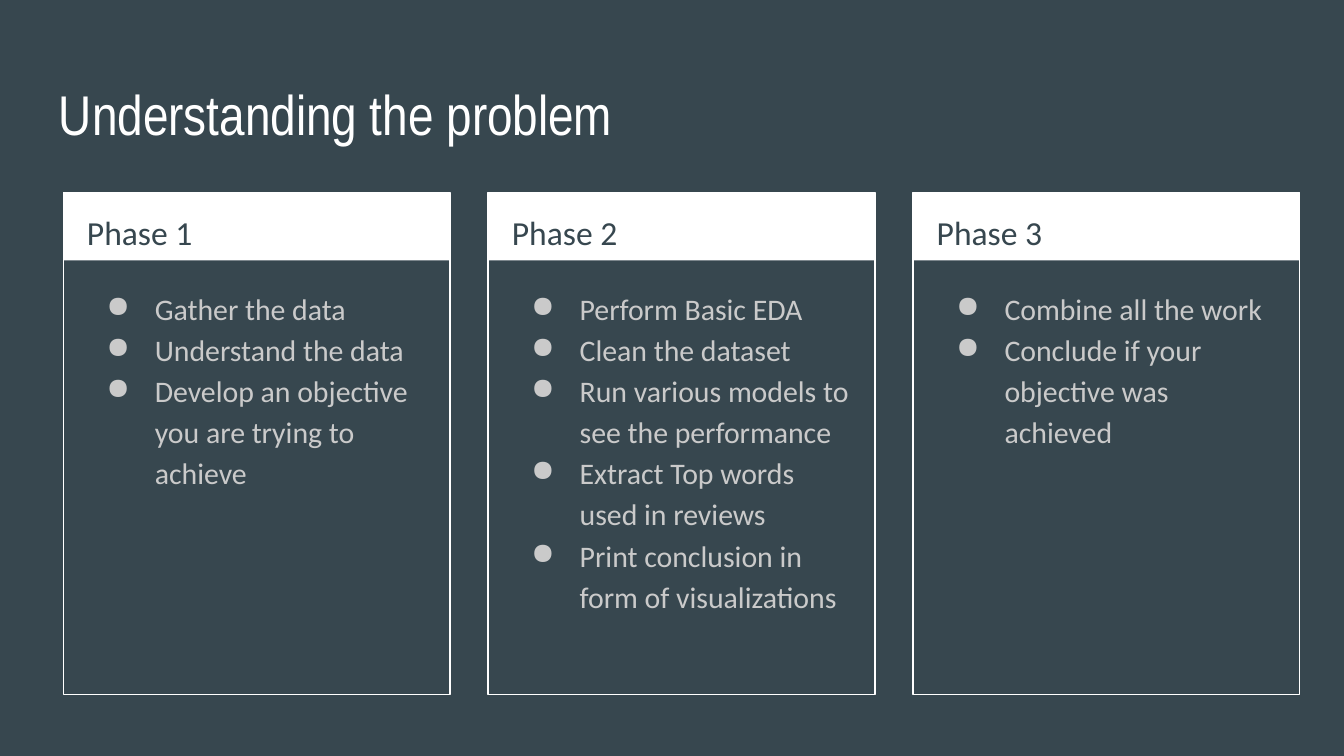
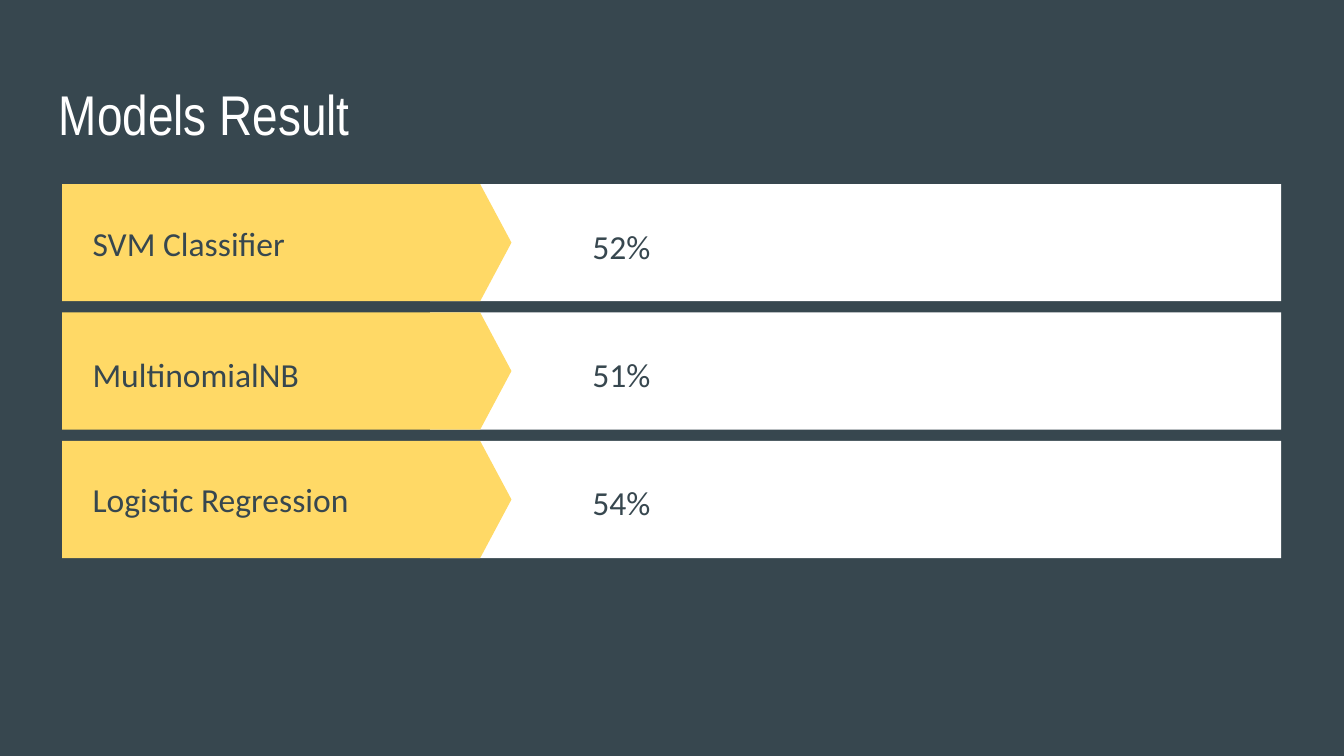
from lxml.etree import SubElement
from pptx import Presentation
from pptx.dml.color import RGBColor
from pptx.enum.shapes import MSO_SHAPE as Preset
from pptx.enum.text import MSO_ANCHOR as Anchor
from pptx.oxml.ns import qn
from pptx.util import Pt

SLATE, WHITE, GOLD, GREY = "37474F", "FFFFFF", "FFD966", "CACACA"

PHASES = [
    ("Phase 1", ["Gather the data", "Understand the data",
                 "Develop an objective you are trying to achieve"]),
    ("Phase 2", ["Perform Basic EDA", "Clean the dataset",
                 "Run various models to see the performance",
                 "Extract Top words used in reviews",
                 "Print conclusion in form of visualizations"]),
    ("Phase 3", ["Combine all the work", "Conclude if your objective was achieved"]),
]
RESULTS = [
    ("SVM Classifier", "52%", {}),
    ("MultinomialNB", "51%", {"spacing": 1.15, "before": 3, "after": 12}),
    ("Logistic Regression", "54%", {}),
]


def rgb(color):
    return RGBColor.from_string(color)


class Deck:
    title_font = "Arial Narrow"
    body_font = "Calibri"

    def __init__(self):
        self.prs = Presentation()
        self.prs.slide_width, self.prs.slide_height = Pt(720), Pt(405)

    def new_slide(self, title):
        self.slide = self.prs.slides.add_slide(self.prs.slide_layouts[6])
        background = self.slide.background.fill
        background.solid()
        background.fore_color.rgb = rgb(SLATE)
        self.text([title], 24.5, 35.2, 671, 45.4, size=30, color=WHITE, font=self.title_font)

    def group(self):
        return self.slide.shapes.add_group_shape()

    def panel(self, group, left, top, width, height, fill=None, line=None,
              preset=Preset.RECTANGLE, adjust=None):
        panel = group.shapes.add_shape(preset, Pt(left), Pt(top), Pt(width), Pt(height))
        panel.shadow.inherit = False
        if adjust is not None:
            panel.adjustments[0] = adjust
        if fill:
            panel.fill.solid()
            panel.fill.fore_color.rgb = rgb(fill)
        else:
            panel.fill.background()
        if line:
            panel.line.color.rgb = rgb(line)
            panel.line.width = Pt(0.75)
        else:
            panel.line.fill.background()

    def text(self, lines, left, top, width, height, size=18, color=SLATE, font=body_font,
             anchor=Anchor.TOP, spacing=None, before=0, after=0, indent=0, bullet=None):
        box = self.slide.shapes.add_textbox(Pt(left), Pt(top), Pt(width), Pt(height))
        frame = box.text_frame
        frame.word_wrap = True
        frame.vertical_anchor = anchor
        frame.margin_left = frame.margin_right = Pt(7.2)
        frame.margin_top = frame.margin_bottom = Pt(7.2)
        frame.text = "\n".join(lines)
        for paragraph in frame.paragraphs:
            paragraph.font.name = font
            paragraph.font.size = Pt(size)
            paragraph.font.color.rgb = rgb(color)
            paragraph.line_spacing = spacing
            paragraph.space_before, paragraph.space_after = Pt(before), Pt(after)
            self.indent(paragraph, indent, bullet, color)

    def indent(self, paragraph, indent, bullet, color):
        properties = paragraph._p.get_or_add_pPr()
        properties.set("marL", str(Pt(indent)))
        properties.set("indent", str(Pt(-26) if bullet else 0))
        if bullet:
            bullet_color = SubElement(properties, qn("a:buClr"))
            SubElement(bullet_color, qn("a:srgbClr"), val=color)
            SubElement(properties, qn("a:buChar"), char=bullet)
            default_font = properties.find(qn("a:defRPr"))
            if default_font is not None:
                properties.append(default_font)

    def phase_card(self, left, heading, steps):
        top, width = 103, 207.2
        card = self.group()
        self.panel(card, left, top, width, 36.5, fill=WHITE)
        self.panel(card, left, top, width, 269, line=WHITE)
        self.text([heading], left + 5.6, top, 196.4, 36, spacing=1.15)
        self.text(steps, left + 6, 145.4, 195.2, 220.4, size=16, color=GREY,
                  spacing=1.15, indent=36, bullet="●")

    def result_row(self, top, model, score, model_spacing):
        height = 62.8
        row = self.group()
        self.panel(row, 230.4, top, 456, height, fill=WHITE)
        self.panel(row, 33.3, top, 240.7, height, fill=GOLD,
                   preset=Preset.PENTAGON, adjust=0.267)
        self.text([model], 42.5, top, 190.8, height, anchor=Anchor.MIDDLE, **model_spacing)
        self.text([score], 274.3, top, 402.5, height, anchor=Anchor.MIDDLE,
                  spacing=1.15, indent=36)


def main():
    deck = Deck()

    deck.new_slide("Understanding the problem")
    for column, (heading, steps) in enumerate(PHASES):
        deck.phase_card(33.9 + column * 227.6, heading, steps)

    deck.new_slide("Models Result")
    for row, (model, score, model_spacing) in enumerate(RESULTS):
        deck.result_row(98.6 + row * 68.8, model, score, model_spacing)

    deck.prs.save("out.pptx")


if __name__ == "__main__":
    main()
